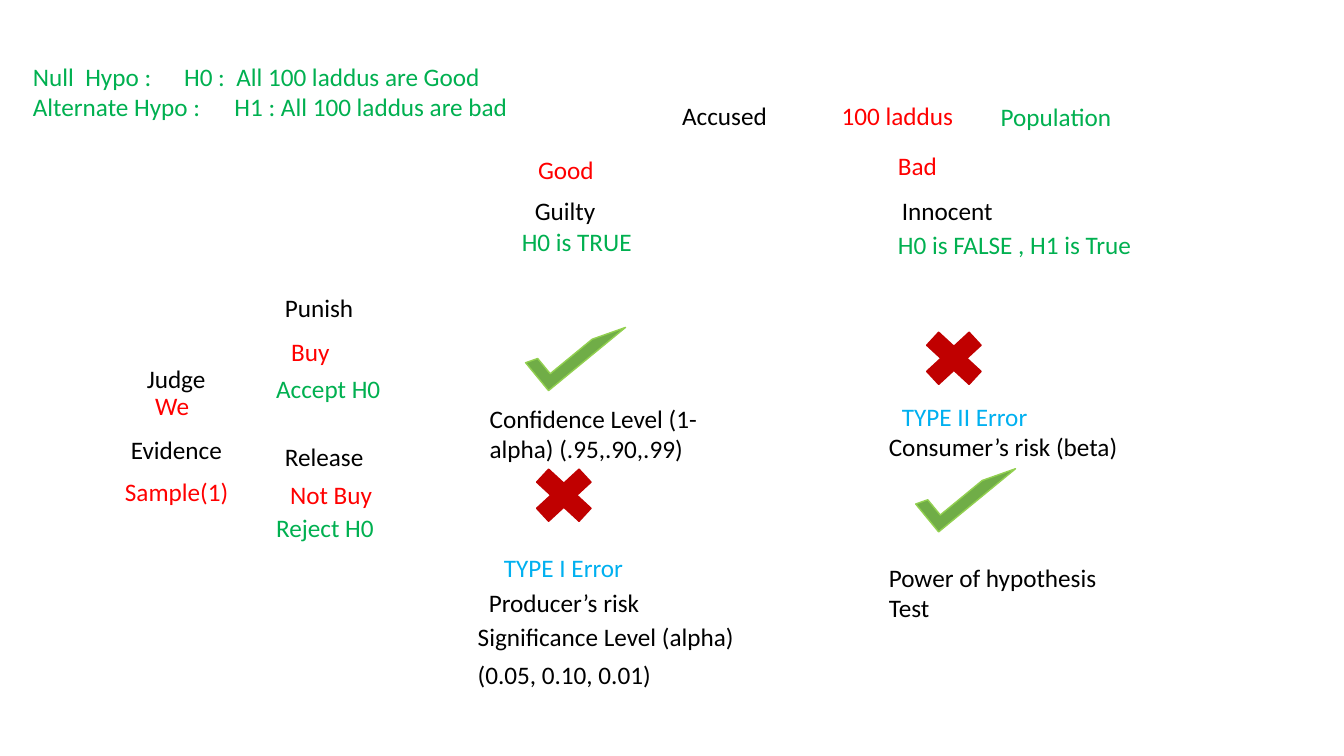
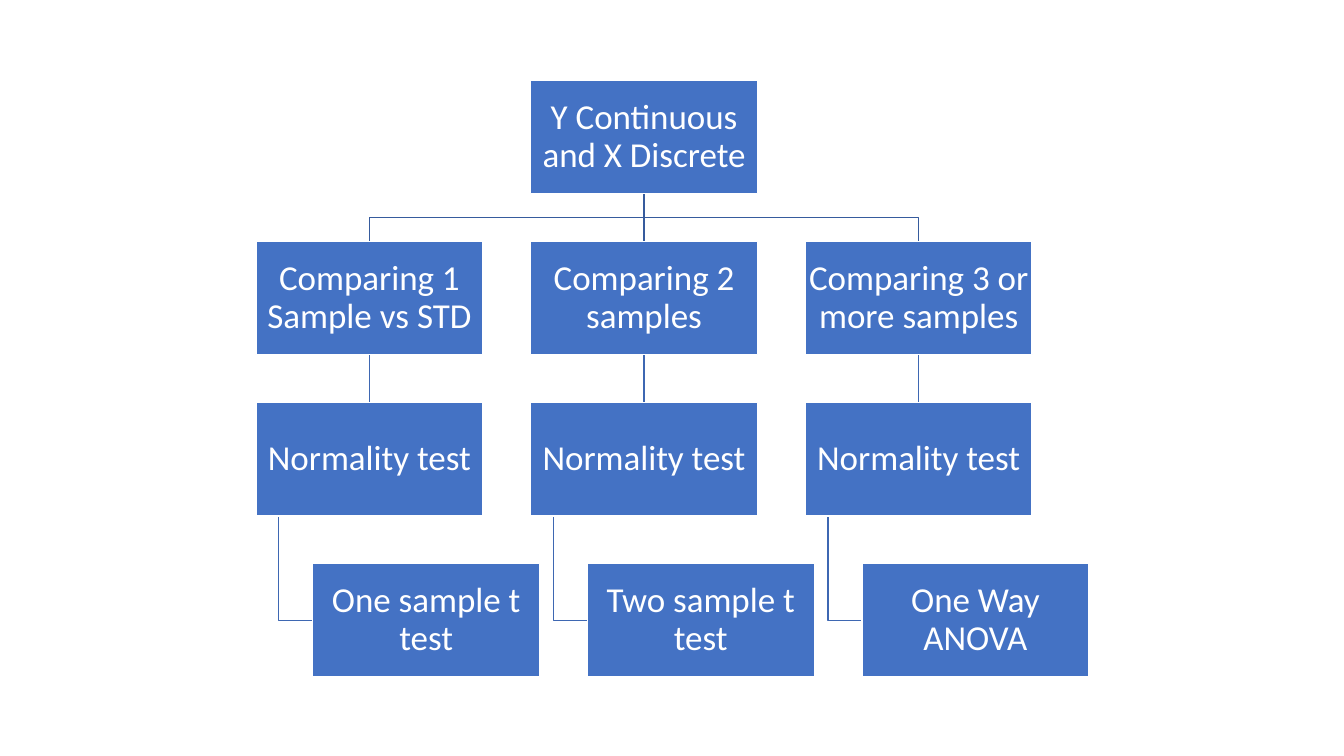
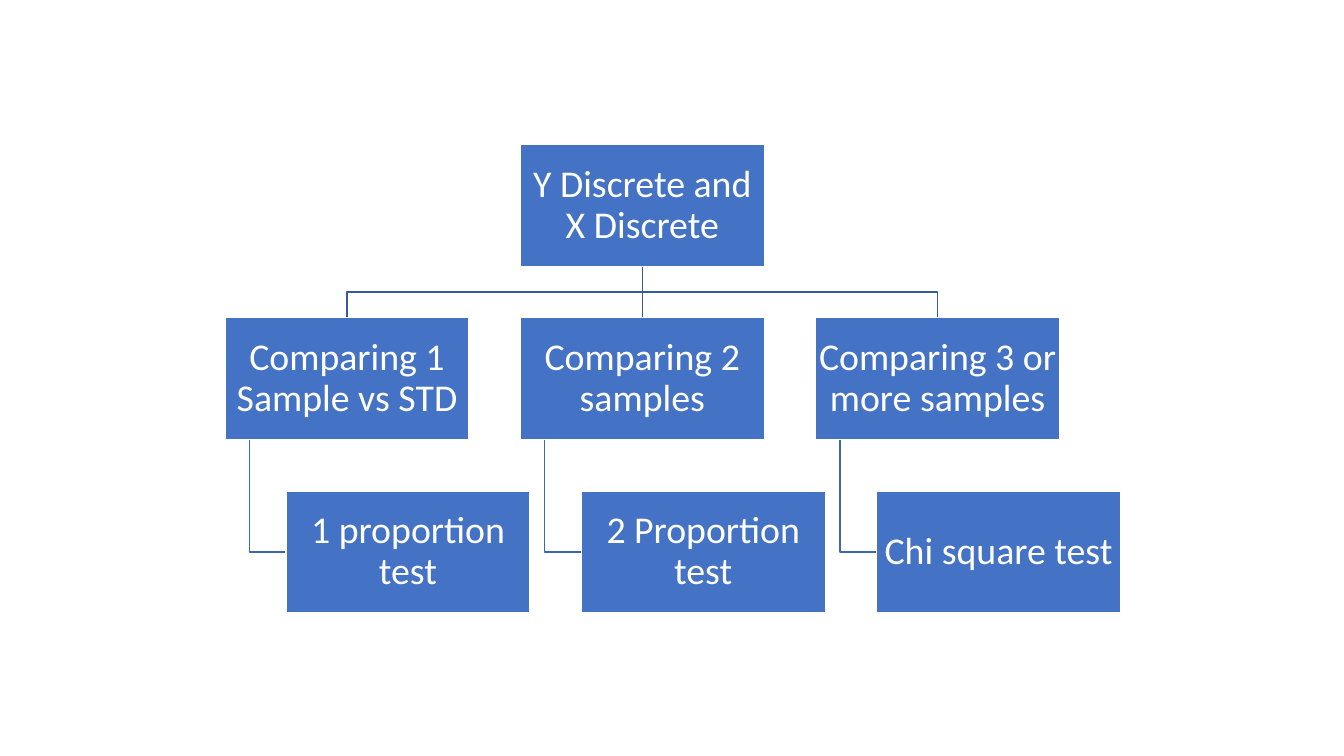
"""Build three slides on hypothesis testing: an error matrix and two test-selection trees."""
from dataclasses import dataclass

from lxml.etree import SubElement
from pptx import Presentation
from pptx.dml.color import RGBColor
from pptx.enum.shapes import MSO_CONNECTOR, MSO_SHAPE
from pptx.enum.text import MSO_ANCHOR, MSO_AUTO_SIZE as AutoSize, PP_ALIGN
from pptx.oxml.ns import qn
from pptx.util import Cm, Pt


@dataclass(frozen=True)
class Theme:
    font: str = "Calibri"
    black: str = "000000"
    red: str = "FF0000"
    green: str = "00B050"
    sky: str = "00B0F0"
    white: str = "FFFFFF"
    node: str = "4472C4"
    root_link: str = "365B9D"
    link: str = "3E67B2"
    tick: str = "70AD47"
    tick_edge: str = "92D050"
    cross: str = "C00000"
    label: int = 18
    wide_tree: int = 27
    tall_tree: int = 25


theme = Theme()


def write(frame, text, size, color):
    frame.text = text
    for para in frame.paragraphs:
        para.font.name = theme.font
        para.font.size = Pt(size)
        para.font.color.rgb = RGBColor.from_string(color)


def draw_link(page, points, color):
    points = [(Cm(x), Cm(y)) for x, y in points]
    (start_x, start_y), (end_x, end_y) = points[0], points[-1]
    if start_x == end_x:
        link = page.shapes.add_connector(MSO_CONNECTOR.STRAIGHT, start_x, start_y, end_x, end_y)
    else:
        outline = page.shapes.build_freeform(start_x, start_y)
        outline.add_line_segments(points[1:], close=False)
        link = outline.convert_to_shape()
        link.fill.background()
    link.line.color.rgb = RGBColor.from_string(color)
    link.line.width = Pt(1)
    SubElement(link.element.spPr, qn("a:effectLst"))


deck = Presentation()
deck.slide_width, deck.slide_height = Cm(33.87), Cm(19.05)
blank = deck.slide_layouts[6]

matrix_page = deck.slides.add_slide(blank)

marks = [
    (MSO_SHAPE.HALF_FRAME, 14.05, 7.44, 0.91, 2.51, 230.6, theme.tick, theme.tick_edge),
    (MSO_SHAPE.HALF_FRAME, 23.88, 11, 0.91, 2.51, 230.6, theme.tick, theme.tick_edge),
    (MSO_SHAPE.MATH_MULTIPLY, 13.18, 11.53, 2.06, 1.9, 0, theme.cross, theme.cross),
    (MSO_SHAPE.MATH_MULTIPLY, 23.01, 8.08, 2.06, 1.9, 0, theme.cross, theme.cross),
]
for kind, left, top, width, height, angle, fill, edge in marks:
    mark = matrix_page.shapes.add_shape(kind, Cm(left), Cm(top), Cm(width), Cm(height))
    mark.rotation = angle
    mark.shadow.inherit = False
    mark.fill.solid()
    mark.fill.fore_color.rgb = RGBColor.from_string(fill)
    mark.line.color.rgb = RGBColor.from_string(edge)
    mark.line.width = Pt(1)

one_line, two_lines = 1.02, 1.8
unwrapped = {"Judge", "Evidence", "TYPE I Error", "TYPE II Error"}
hypotheses = "Null  Hypo : \tH0 :  All 100 laddus are Good\nAlternate Hypo : \tH1 : All 100 laddus are bad"
labels = {
    theme.black: [
        (3.45, 9.02, 2.01, one_line, "Judge"),
        (16.94, 2.41, 7.42, one_line, "Accused"),
        (6.93, 7.24, 4.24, one_line, "Punish"),
        (6.93, 11, 4.24, one_line, "Release"),
        (3.05, 10.82, 2.84, one_line, "Evidence"),
        (13.23, 4.8, 4.24, one_line, "Guilty"),
        (22.48, 4.8, 4.24, one_line, "Innocent"),
        (12.07, 14.68, 5.18, one_line, "Producer’s risk"),
        (22.15, 10.74, 7.54, one_line, "Consumer’s risk (beta)"),
        (12.09, 10.03, 6.68, two_lines, "Confidence Level (1-alpha) (.95,.90,.99)"),
        (11.79, 15.54, 7.52, one_line, "Significance Level (alpha)"),
        (22.15, 14.05, 6.68, two_lines, "Power of hypothesis Test"),
        (11.79, 16.48, 6.55, one_line, "(0.05, 0.10, 0.01)"),
    ],
    theme.red: [
        (20.96, 2.41, 5.74, one_line, "100 laddus"),
        (2.9, 11.89, 3.94, one_line, "Sample(1)"),
        (3.66, 9.7, 3.94, one_line, "We"),
        (7.09, 8.36, 3.94, one_line, "Buy"),
        (7.06, 11.96, 3.94, one_line, "Not Buy"),
        (13.31, 3.76, 3.94, one_line, "Good"),
        (22.38, 3.66, 3.94, one_line, "Bad"),
    ],
    theme.green: [
        (24.97, 2.44, 5.74, one_line, "Population"),
        (0.58, 1.42, 13.46, two_lines, hypotheses),
        (6.71, 9.27, 5.74, one_line, "Accept H0"),
        (6.71, 12.78, 5.74, one_line, "Reject H0"),
        (12.9, 5.59, 5.74, one_line, "H0 is TRUE"),
        (22.38, 5.66, 8.36, one_line, "H0 is FALSE , H1 is True"),
    ],
    theme.sky: [
        (12.45, 13.79, 3.53, one_line, "TYPE I Error"),
        (22.48, 9.98, 3.71, one_line, "TYPE II Error"),
    ],
}
for color, group in labels.items():
    for left, top, width, height, text in group:
        box = matrix_page.shapes.add_textbox(Cm(left), Cm(top), Cm(width), Cm(height))
        box.text_frame.word_wrap = text not in unwrapped
        box.text_frame.auto_size = AutoSize.SHAPE_TO_FIT_TEXT
        write(box.text_frame, text, theme.label, color)

comparisons = ["Comparing 1 Sample vs STD", "Comparing 2 samples", "Comparing 3 or more samples"]
trees = [
    (6.45, 2.02, 5.72, theme.tall_tree, "Y Continuous and X Discrete",
     [comparisons, ["Normality test"] * 3, ["One sample t test", "Two sample t test", "One Way ANOVA"]]),
    (5.67, 3.64, 6.15, theme.wide_tree, "Y Discrete and X Discrete",
     [comparisons, ["1 proportion test", "2 Proportion test", "Chi square test"]]),
]
for left, top, width, size, root, rows in trees:
    page = deck.slides.add_slide(blank)
    height = width / 2
    column_step, row_step = width * 1.21, height * 1.42
    gap = row_step - height
    leaf_indent, stem_indent = width / 4, width / 10
    lefts = [left + column * column_step for column in range(3)]
    tops = [top + row * row_step for row in range(len(rows) + 1)]
    root_x, root_y = lefts[1] + width / 2, top + height

    for column_left in lefts:
        center = column_left + width / 2
        bend = root_y + gap / 2
        draw_link(page, [(root_x, root_y), (root_x, bend), (center, bend), (center, tops[1])], theme.root_link)
        for row_top in tops[1:-2]:
            draw_link(page, [(center, row_top + height), (center, row_top + row_step)], theme.link)
        stem, leaf_middle = column_left + stem_indent, tops[-1] + height / 2
        draw_link(page, [(stem, tops[-2] + height), (stem, leaf_middle),
                         (column_left + leaf_indent, leaf_middle)], theme.link)

    nodes = [(lefts[1], top, root)]
    for row_top, row in zip(tops[1:], rows):
        indent = leaf_indent if row_top == tops[-1] else 0
        nodes += [(column_left + indent, row_top, text) for column_left, text in zip(lefts, row)]
    for node_left, node_top, text in nodes:
        node = page.shapes.add_shape(MSO_SHAPE.RECTANGLE, Cm(node_left), Cm(node_top), Cm(width), Cm(height))
        node.shadow.inherit = False
        node.fill.solid()
        node.fill.fore_color.rgb = RGBColor.from_string(theme.node)
        node.line.color.rgb = RGBColor.from_string(theme.white)
        node.line.width = Pt(1)
        frame = node.text_frame
        frame.word_wrap = True
        frame.vertical_anchor = MSO_ANCHOR.MIDDLE
        frame.margin_left = frame.margin_right = frame.margin_top = frame.margin_bottom = Cm(0.05)
        write(frame, text, size, theme.white)
        frame.paragraphs[0].alignment = PP_ALIGN.CENTER
        frame.paragraphs[0].line_spacing = 0.9

deck.save("out.pptx")
